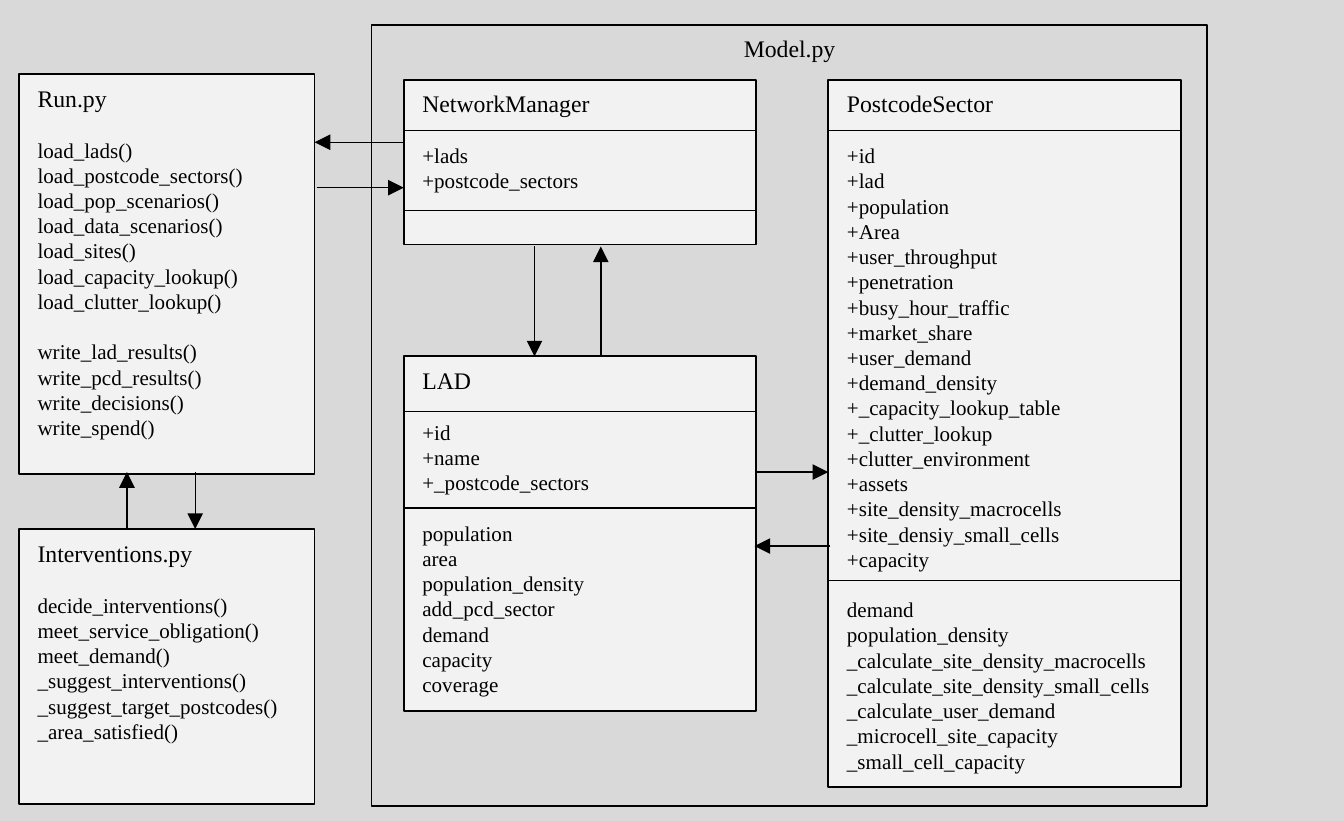
from dataclasses import dataclass

from lxml import etree
from pptx import Presentation
from pptx.dml.color import RGBColor
from pptx.enum.shapes import MSO_CONNECTOR, MSO_SHAPE
from pptx.enum.text import MSO_ANCHOR, PP_ALIGN
from pptx.oxml.ns import qn
from pptx.slide import Slide
from pptx.util import Inches, Pt

RECT = MSO_SHAPE.RECTANGLE
STRAIGHT = MSO_CONNECTOR.STRAIGHT
TOP = MSO_ANCHOR.TOP
LEFT, CENTER = PP_ALIGN.LEFT, PP_ALIGN.CENTER

COLORS = {"background": "D9D9D9", "box": "F2F2F2", "ink": "000000"}
FONT = "Times New Roman"
COLS, ROWS = 709, 433
SLIDE_W, SLIDE_H = Inches(7.09), Inches(4.33)
BORDER, RULE = Pt(0.75), Pt(0.5)
GROUP_GAP = Pt(9.56)

FRAME_FORMAT = {
    "margin_left": Inches(0.1),
    "margin_right": Inches(0.1),
    "margin_top": Inches(0.05),
    "margin_bottom": Inches(0.05),
    "vertical_anchor": TOP,
    "word_wrap": True,
}
TITLE_FORMAT = {"name": FONT, "size": Pt(9)}
MEMBER_FORMAT = {"name": FONT, "size": Pt(8)}


@dataclass(frozen=True)
class Box:
    title: str
    col: int
    row: int
    cols: int
    rows: int
    groups: tuple[str, ...] = ()
    dividers: tuple[int, ...] = ()
    fill: str | None = "box"
    align: PP_ALIGN = LEFT


@dataclass(frozen=True)
class Line:
    col1: int
    row1: int
    col2: int
    row2: int
    arrow: bool = True


BOXES = (
    Box("Model.py", 196, 13, 441, 412, fill=None, align=CENTER),
    Box("Run.py", 10, 39, 156, 211, (
        "load_lads() load_postcode_sectors() load_pop_scenarios() "
        "load_data_scenarios() load_sites() load_capacity_lookup() "
        "load_clutter_lookup()",
        "write_lad_results() write_pcd_results() write_decisions() write_spend()",
    )),
    Box("Interventions.py", 10, 279, 156, 145, (
        "decide_interventions() meet_service_obligation() meet_demand() "
        "_suggest_interventions() _suggest_target_postcodes() _area_satisfied()",
    )),
    Box("NetworkManager", 213, 42, 186, 87, (
        "+lads +postcode_sectors",
    ), (69, 111)),
    Box("LAD", 213, 188, 186, 187, (
        "+id +name +_postcode_sectors",
        "population area population_density add_pcd_sector demand capacity coverage",
    ), (217, 268)),
    Box("PostcodeSector", 437, 42, 186, 373, (
        "+id +lad +population +Area +user_throughput +penetration "
        "+busy_hour_traffic +market_share +user_demand +demand_density "
        "+_capacity_lookup_table +_clutter_lookup +clutter_environment +assets "
        "+site_density_macrocells +site_densiy_small_cells +capacity",
        "demand population_density _calculate_site_density_macrocells "
        "_calculate_site_density_small_cells _calculate_user_demand "
        "_microcell_site_capacity _small_cell_capacity",
    ), (69, 306)),
)

ARROWS = (
    Line(213, 75, 166, 75),
    Line(167, 99, 213, 99),
    Line(282, 130, 282, 188),
    Line(317, 188, 317, 130),
    Line(399, 249, 437, 249),
    Line(438, 288, 398, 288),
    Line(67, 279, 67, 249),
    Line(103, 249, 103, 279),
)


def x(col: int) -> int:
    return round(SLIDE_W * col / COLS)


def y(row: int) -> int:
    return round(SLIDE_H * row / ROWS)


def color(name: str) -> RGBColor:
    return RGBColor.from_string(COLORS[name])


def apply(target: object, values: dict) -> None:
    for name, value in values.items():
        setattr(target, name, value)


def add_text(p, text: str, font_format: dict, align: PP_ALIGN, gap: int) -> None:
    apply(p, {"alignment": align, "line_spacing": 1.0,
              "space_before": gap, "space_after": Pt(0)})
    r = p.add_run()
    r.text = text
    apply(r.font, font_format)
    r.font.color.rgb = color("ink")


def draw_line(s: Slide, line: Line) -> None:
    cn = s.shapes.add_connector(
        STRAIGHT, x(line.col1), y(line.row1), x(line.col2), y(line.row2))
    cn.line.width = RULE
    cn.line.color.rgb = color("ink")
    if line.arrow:
        ln = cn.line._get_or_add_ln()
        etree.SubElement(ln, qn("a:tailEnd"), type="triangle")
    etree.SubElement(cn._element.spPr, qn("a:effectLst"))


def draw_box(s: Slide, box: Box) -> None:
    sp = s.shapes.add_shape(
        RECT, x(box.col), y(box.row), x(box.cols), y(box.rows))
    sp.shadow.inherit = False
    if box.fill:
        sp.fill.solid()
        sp.fill.fore_color.rgb = color(box.fill)
    else:
        sp.fill.background()
    sp.line.width = BORDER
    sp.line.color.rgb = color("ink")
    tf = sp.text_frame
    apply(tf, FRAME_FORMAT)
    add_text(tf.paragraphs[0], box.title, TITLE_FORMAT, box.align, Pt(0))
    for group in box.groups:
        for i, member in enumerate(group.split()):
            gap = Pt(0) if i else GROUP_GAP
            add_text(tf.add_paragraph(), member, MEMBER_FORMAT, box.align, gap)
    for row in box.dividers:
        draw_line(s, Line(box.col, row, box.col + box.cols, row, arrow=False))


def main() -> None:
    prs = Presentation()
    apply(prs, {"slide_width": SLIDE_W, "slide_height": SLIDE_H})
    s = prs.slides.add_slide(prs.slide_layouts.get_by_name("Blank"))
    s.background.fill.solid()
    s.background.fill.fore_color.rgb = color("background")
    for box in BOXES:
        draw_box(s, box)
    for arrow in ARROWS:
        draw_line(s, arrow)
    prs.save("out.pptx")


if __name__ == "__main__":
    main()
